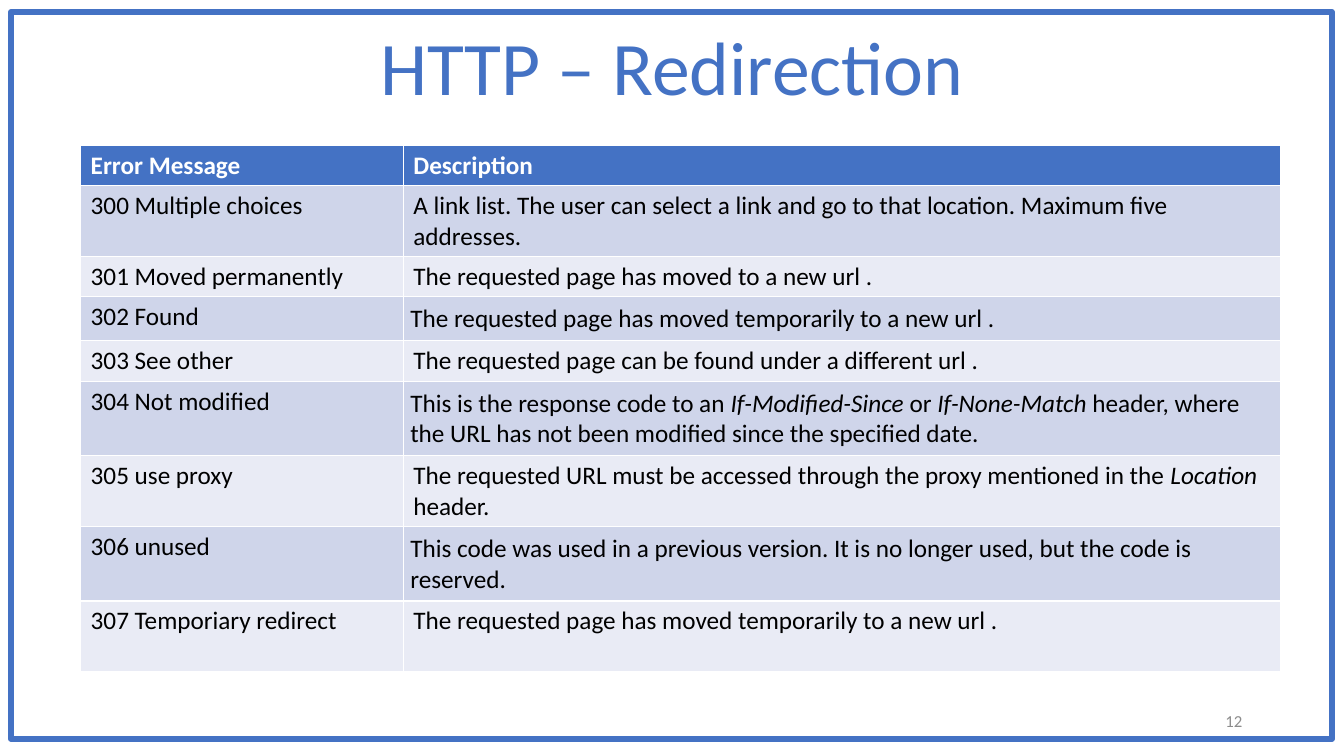
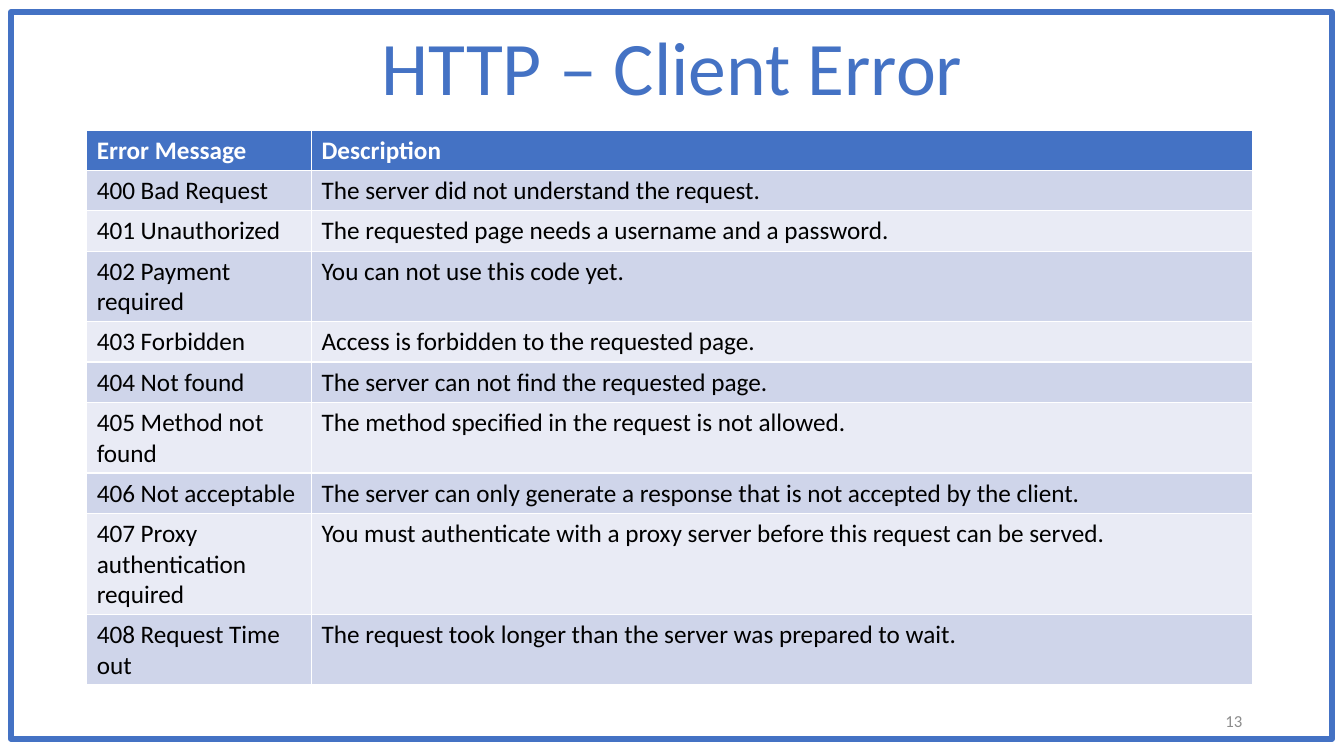
"""Build two slides that list HTTP status codes in tables."""
from pptx import Presentation
from pptx.dml.color import RGBColor
from pptx.enum.shapes import MSO_SHAPE
from pptx.enum.text import MSO_ANCHOR, MSO_AUTO_SIZE, PP_ALIGN
from pptx.util import Pt

RECT = MSO_SHAPE.RECTANGLE
TOP, MIDDLE = MSO_ANCHOR.TOP, MSO_ANCHOR.MIDDLE
FIXED = MSO_AUTO_SIZE.NONE
CENTER, RIGHT = PP_ALIGN.CENTER, PP_ALIGN.RIGHT
PX = 9144
FONT = "Calibri"
PAD = 7
HEAD = ("Error Message", "Description", 1, False)
COLORS = {
    "blue": "4472C4",
    "dark": "CFD5EA",
    "light": "E9EBF5",
    "white": "FFFFFF",
    "black": "000000",
    "gray": "8C8C8C",
}

SLIDES = [
    {
        "title": "HTTP – Redirection",
        "number": "12",
        "left": 80, "top": 144, "cols": (320, 870),
        "rows": [
            ("300 Multiple choices",
             "A link list. The user can select a link and go to that location. "
             "Maximum five addresses.", 2, False),
            ("301 Moved permanently",
             "The requested page has moved to a new url .", 1, False),
            ("302 Found",
             "The requested page has moved temporarily to a new url .", 1, True),
            ("303 See other",
             "The requested page can be found under a different url .", 1, False),
            ("304 Not modified",
             "This is the response code to an *If-Modified-Since* or "
             "*If-None-Match* header, where the URL has not been modified "
             "since the specified date.", 2, True),
            ("305 use proxy",
             "The requested URL must be accessed through the proxy mentioned "
             "in the *Location* header.", 2, False),
            ("306 unused",
             "This code was used in a previous version. It is no longer used, "
             "but the code is reserved.", 2, True),
            ("307 Temporiary redirect",
             "The requested page has moved temporarily to a new url .", 2, False),
        ],
    },
    {
        "title": "HTTP – Client Error",
        "number": "13",
        "left": 86, "top": 129, "cols": (223, 933),
        "rows": [
            ("400 Bad Request",
             "The server did not understand the request.", 1, False),
            ("401 Unauthorized",
             "The requested page needs a username and a password.", 1, False),
            ("402 Payment required", "You can not use this code yet.", 2, False),
            ("403 Forbidden",
             "Access is forbidden to the requested page.", 1, False),
            ("404 Not found",
             "The server can not find the requested page.", 1, False),
            ("405 Method not found",
             "The method specified in the request is not allowed.", 2, False),
            ("406 Not acceptable",
             "The server can only generate a response that is not accepted "
             "by the client.", 1, False),
            ("407 Proxy authentication required",
             "You must authenticate with a proxy server before this request "
             "can be served.", 3, False),
            ("408 Request Time out",
             "The request took longer than the server was prepared to wait.",
             2, False),
        ],
    },
]


def box(*sizes):
    return [size * PX for size in sizes]


def style(para, size, color, bold=False):
    para.font.name = FONT
    para.font.size = Pt(size)
    para.font.bold = bold
    para.font.color.rgb = RGBColor.from_string(COLORS[color])


prs = Presentation()
prs.slide_width, prs.slide_height = box(1333, 750)
layout = prs.slide_layouts[5]

for data in SLIDES:
    slide = prs.slides.add_slide(layout)
    shapes = slide.shapes

    title = shapes.title
    title.left, title.top, title.width, title.height = box(355, 15, 623, 101)
    frame = title.text_frame
    frame.text = data["title"]
    frame.word_wrap = False
    frame.auto_size = FIXED
    frame.vertical_anchor = TOP
    para = frame.paragraphs[0]
    para.alignment = CENTER
    style(para, 54, "blue")

    frame = shapes.add_textbox(*box(942, 695, 300, 40)).text_frame
    frame.text = data["number"]
    frame.word_wrap = True
    frame.vertical_anchor = MIDDLE
    para = frame.paragraphs[0]
    para.alignment = RIGHT
    style(para, 12, "gray")

    border = shapes.add_shape(RECT, *box(11, 12, 1310, 721))
    border.shadow.inherit = False
    border.fill.background()
    border.line.color.rgb = RGBColor.from_string(COLORS["blue"])
    border.line.width = Pt(4.5)

    rows = [HEAD] + data["rows"]
    heights = [30 * lines + (14 if padded else 10) for _, _, lines, padded in rows]
    size = box(data["left"], data["top"], sum(data["cols"]), sum(heights))
    table = shapes.add_table(len(rows), 2, *size).table
    for col, width in zip(table.columns, data["cols"]):
        col.width = width * PX
    for r, (code, text, _, padded) in enumerate(rows):
        table.rows[r].height = heights[r] * PX
        fill = "blue" if r == 0 else "dark" if r % 2 else "light"
        for c, words in enumerate((code, text)):
            cell = table.cell(r, c)
            cell.fill.solid()
            cell.fill.fore_color.rgb = RGBColor.from_string(COLORS[fill])
            para = cell.text_frame.paragraphs[0]
            style(para, 18, "black" if r else "white", r == 0)
            for i, part in enumerate(words.split("*")):
                run = para.add_run()
                run.text = part
                if i % 2:
                    run.font.italic = True
        if padded:
            cell = table.cell(r, 1)
            cell.margin_left = cell.margin_right = PAD * PX
            cell.margin_top = cell.margin_bottom = PAD * PX

prs.save("out.pptx")
